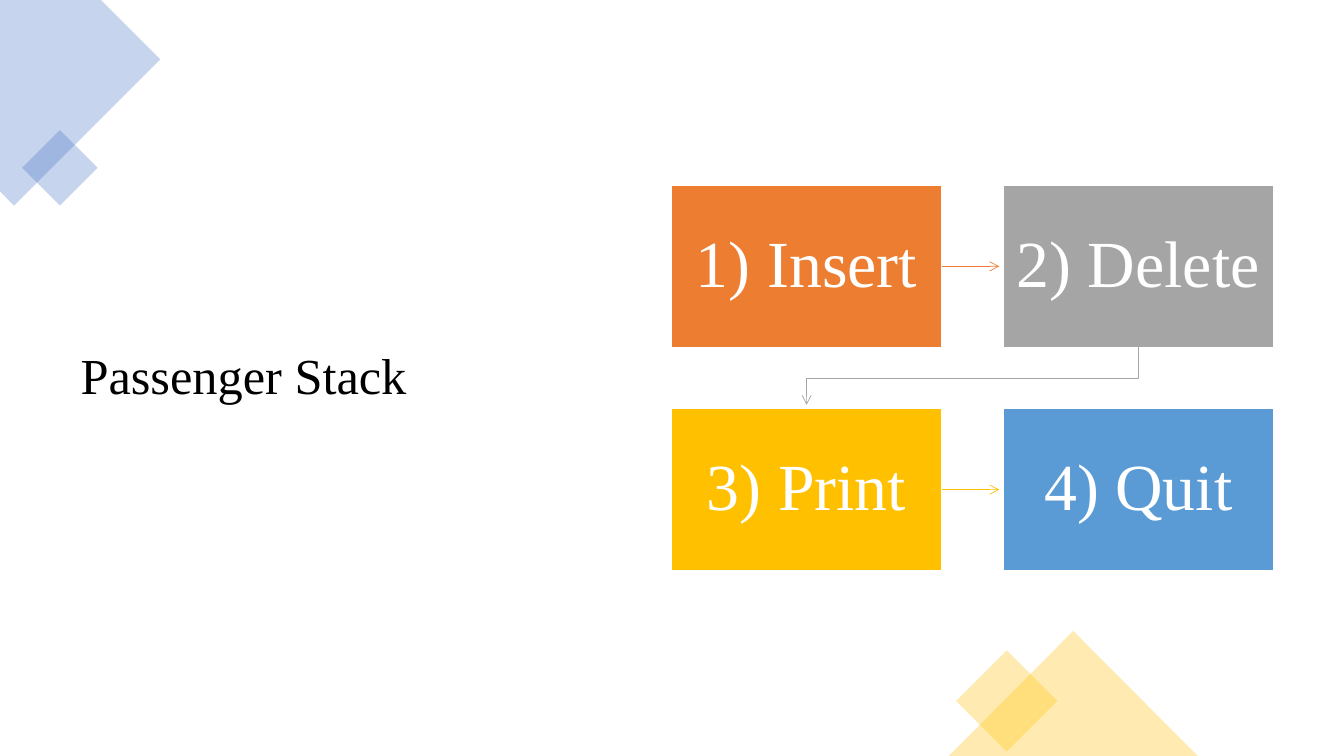
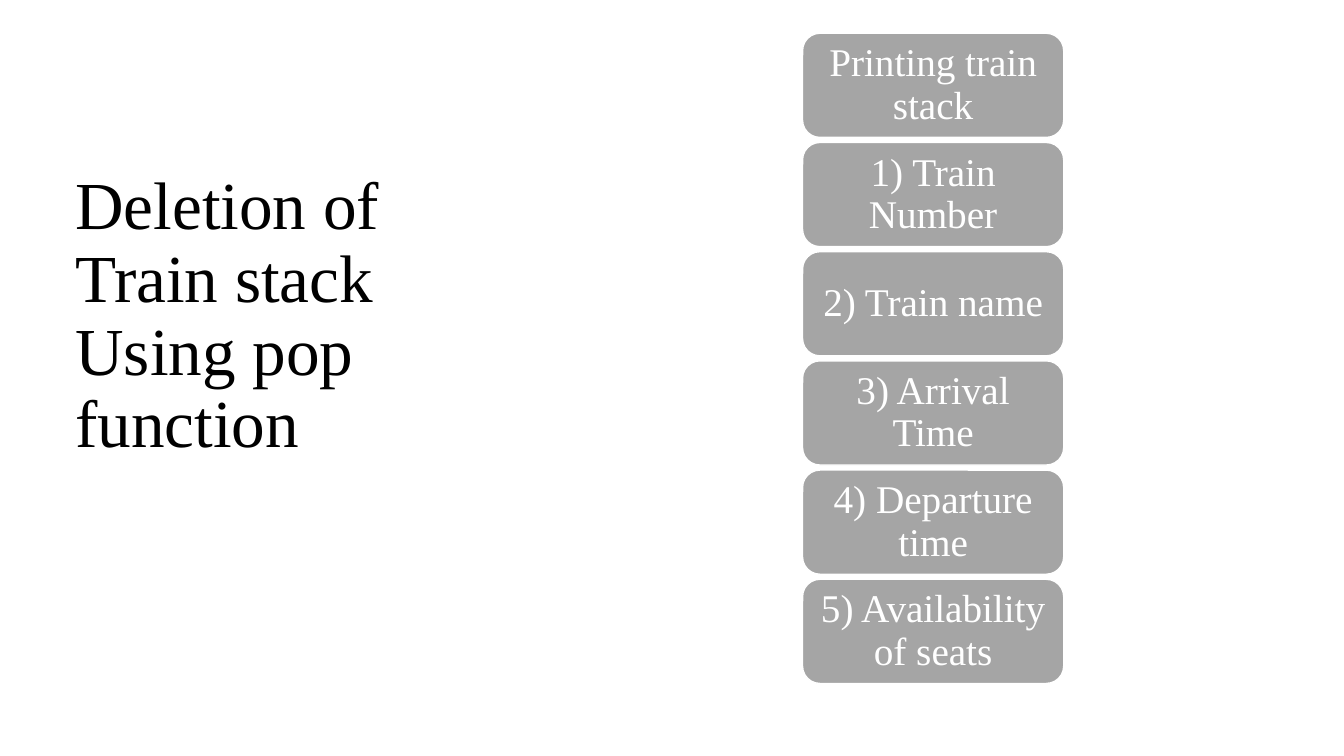
from lxml import etree
from pptx import Presentation
from pptx.dml.color import RGBColor
from pptx.enum.shapes import MSO_CONNECTOR, MSO_SHAPE
from pptx.enum.text import MSO_ANCHOR, PP_ALIGN
from pptx.oxml.ns import qn
from pptx.util import Inches, Pt

FONT = "Times New Roman"
BLACK, WHITE = "000000", "FFFFFF"
BLUE, YELLOW = "4472C4", "FFC000"
ORANGE, GRAY, SKY = "ED7D31", "A5A5A5", "5B9BD5"


def color(hex_value):
    return RGBColor.from_string(hex_value)


def write_text(shape, text, size=28, hex_color=WHITE, align=PP_ALIGN.CENTER,
               insets=(0.1, 0.05)):
    frame = shape.text_frame
    frame.word_wrap = True
    frame.vertical_anchor = MSO_ANCHOR.MIDDLE
    frame.margin_left = frame.margin_right = Inches(insets[0])
    frame.margin_top = frame.margin_bottom = Inches(insets[1])
    paragraph = frame.paragraphs[0]
    paragraph.alignment = align
    paragraph.line_spacing = 0.9
    run = paragraph.add_run()
    run.text = text
    run.font.name = FONT
    run.font.size = Pt(size)
    run.font.color.rgb = color(hex_color)


def style_shape(shape, fill, outline=None, opacity=100):
    shape.shadow.inherit = False
    shape.fill.solid()
    shape.fill.fore_color.rgb = color(fill)
    if opacity < 100:
        rgb = shape.element.spPr.find(qn("a:solidFill")).find(qn("a:srgbClr"))
        etree.SubElement(rgb, qn("a:alpha"), val=str(opacity * 1000))
    if outline:
        shape.line.color.rgb = color(outline)
        shape.line.width = Pt(1)
    else:
        shape.line.fill.background()


def add_box(slide, kind, left, top, width, height, fill, **style):
    shape = slide.shapes.add_shape(
        kind, Inches(left), Inches(top), Inches(width), Inches(height))
    style_shape(shape, fill, **style)
    return shape


def add_outline(slide, points, close):
    corners = [(Inches(x), Inches(y)) for x, y in points]
    builder = slide.shapes.build_freeform(*corners[0])
    builder.add_line_segments(corners[1:], close=close)
    return builder.convert_to_shape()


def add_title(slide, text, left, top, width, height, size):
    box = slide.shapes.add_textbox(
        Inches(left), Inches(top), Inches(width), Inches(height))
    write_text(box, text, size=size, hex_color=BLACK, align=PP_ALIGN.LEFT)


def add_arrow(slide, points, hex_color):
    """Straight arrow for two points, bent arrow for more."""
    if len(points) == 2:
        ends = [Inches(value) for point in points for value in point]
        arrow = slide.shapes.add_connector(MSO_CONNECTOR.STRAIGHT, *ends)
    else:
        arrow = add_outline(slide, points, close=False)
        arrow.fill.background()
    arrow.line.color.rgb = color(hex_color)
    arrow.line.width = Pt(0.5)
    properties = arrow.element.spPr
    etree.SubElement(properties.find(qn("a:ln")), qn("a:tailEnd"), type="arrow")
    etree.SubElement(properties, qn("a:effectLst"))


def add_corner_diamonds(slide):
    # Top left: a large diamond cut by the slide edge, and a small one
    cut_diamond = [(0, 0), (1, 0), (1.59, 0.59), (0.14, 2.04), (0, 1.9)]
    style_shape(add_outline(slide, cut_diamond, close=True), BLUE, opacity=30)
    small = add_box(slide, MSO_SHAPE.RECTANGLE, 0.33, 1.4, 0.53, 0.53, BLUE, opacity=30)
    small.rotation = 45
    # Bottom right: a small diamond and a triangle
    small = add_box(slide, MSO_SHAPE.RECTANGLE, 9.63, 6.6, 0.71, 0.71, YELLOW, opacity=30)
    small.rotation = 45
    add_box(slide, MSO_SHAPE.ISOSCELES_TRIANGLE, 9.41, 6.26, 2.47, 1.24, YELLOW, opacity=30)


def add_step_grid(slide, steps, left, top, width, height, gap=0.61):
    """Two columns of steps, joined by arrows in reading order."""
    box_width = (width - gap) / 2
    box_height = (height - gap) / 2
    reach = gap - 0.04
    for index, (label, fill) in enumerate(steps):
        row, column = divmod(index, 2)
        x = left + column * (box_width + gap)
        y = top + row * (box_height + gap)
        box = add_box(slide, MSO_SHAPE.RECTANGLE, x, y, box_width, box_height,
                      fill, outline=WHITE)
        write_text(box, label, size=47, insets=(0.12, 0.14))
        if index == len(steps) - 1:
            continue
        if column == 0:
            middle, right = y + box_height / 2, x + box_width
            points = [(right, middle), (right + reach, middle)]
        else:
            start, end = x + box_width / 2, left + box_width / 2
            bottom = y + box_height
            bend = bottom + gap / 2
            points = [(start, bottom), (start, bend), (end, bend),
                      (end, bottom + reach)]
        add_arrow(slide, points, fill)


def add_item_stack(slide, items, left, top, width, height, gap=0.05):
    item_height = (height - gap * (len(items) - 1)) / len(items)
    for index, item in enumerate(items):
        box = add_box(slide, MSO_SHAPE.ROUNDED_RECTANGLE, left,
                      top + index * (item_height + gap), width, item_height,
                      GRAY, outline=WHITE)
        # The rounded corners already hold the text in a little
        write_text(box, item, insets=(0.1, 0.06))


def build_passenger_slide(slide):
    add_title(slide, "Passenger Stack", 0.7, 0.7, 5.25, 6.1, size=36)
    add_corner_diamonds(slide)
    steps = [("1) Insert", ORANGE), ("2) Delete", GRAY),
             ("3) Print", YELLOW), ("4) Quit", SKY)]
    add_step_grid(slide, steps, 6.66, 1.84, 5.97, 3.82)


def build_train_slide(slide):
    add_title(slide, "Deletion of Train stack Using pop function",
              0.65, 0.7, 4.16, 4.89, size=48)
    items = ["Printing train stack", "1) Train Number", "2) Train name",
             "3) Arrival Time", "4) Departure time", "5) Availability of seats"]
    add_item_stack(slide, items, 7.96, 0.33, 2.59, 6.45)


def main():
    presentation = Presentation()
    presentation.slide_width = Inches(13.33)
    presentation.slide_height = Inches(7.5)
    blank = presentation.slide_layouts[6]
    for build in (build_passenger_slide, build_train_slide):
        build(presentation.slides.add_slide(blank))
    presentation.save("out.pptx")


if __name__ == "__main__":
    main()
